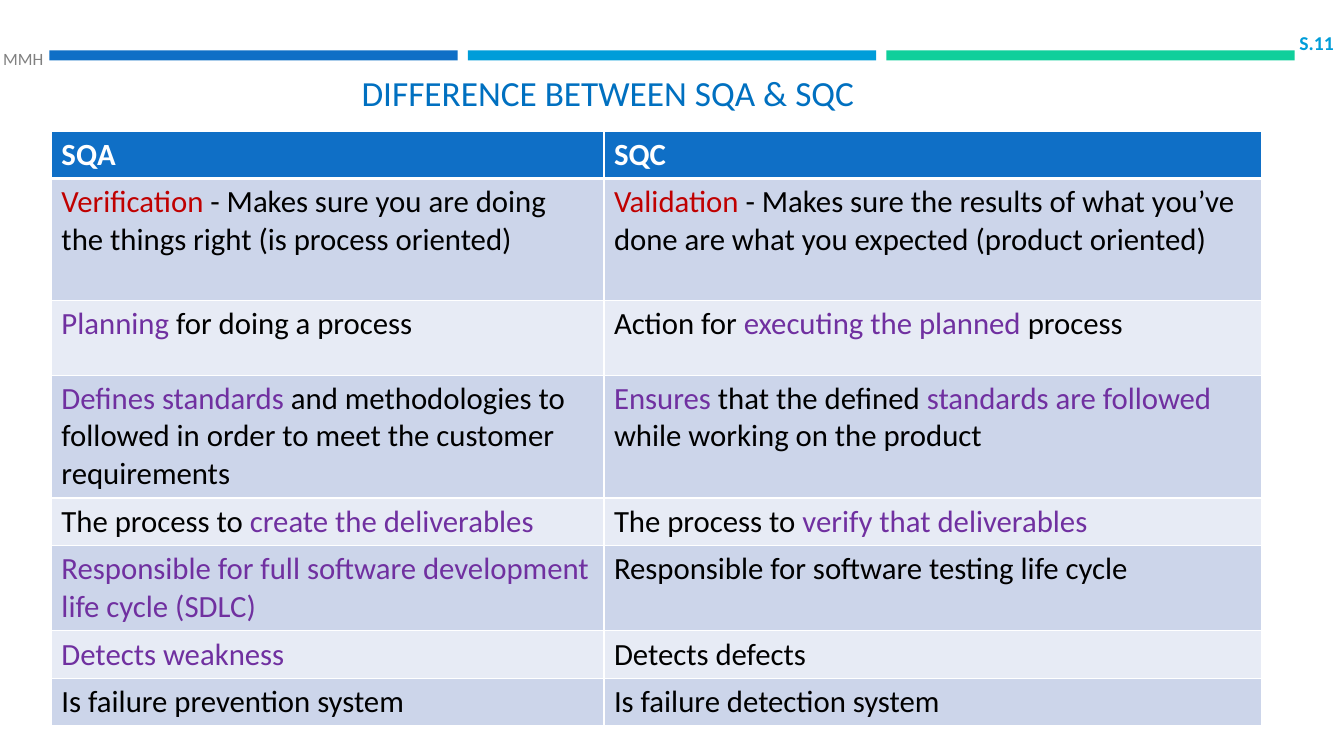
"""Build the slide that compares SQA with SQC in a table."""
import pptx
import pptx.dml.color
import pptx.enum.shapes
import pptx.enum.text
import pptx.oxml
import pptx.util
from pptx.util import Inches

TITLE = "DIFFERENCE BETWEEN SQA & SQC"
HEADER = ([("SQA", "white")], [("SQC", "white")])
ROWS = [
    ([("Verification", "red"),
      (" - Makes sure you are doing the things right (is process oriented)", "black")],
     [("Validation", "red"),
      (" - Makes sure the results of what you’ve done are what you expected (product oriented)",
       "black")]),
    ([("Planning ", "purple"), ("for doing a process", "black")],
     [("Action for ", "black"), ("executing the planned", "purple"), (" process", "black")]),
    ([("Defines standards", "purple"),
      (" and methodologies to followed in order to meet the customer requirements", "black")],
     [("Ensures", "purple"), (" that the defined ", "black"),
      ("standards are followed ", "purple"), ("while working on the product", "black")]),
    ([("The process to ", "black"), ("create the deliverables", "purple")],
     [("The process to ", "black"), ("verify that deliverables", "purple")]),
    ([("Responsible for full software development life cycle (SDLC)", "purple")],
     [("Responsible for software testing life cycle", "black")]),
    ([("Detects weakness", "purple")], [("Detects defects", "black")]),
    ([("Is failure prevention system", "black")], [("Is failure detection system", "black")]),
]
COL_WIDTHS = (5.48, 6.52)
ROW_HEIGHTS = (0.47, 1.21, 0.74, 1.22, 0.47, 0.84, 0.47, 0.47)
BARS = ("blue", "sky", "green")
LABELS = [
    ("MMH", (0.03, 0.43, 0.45, 0.3), "LEFT", "small", "gray", False),
    ("S.11", (12.8, 0.28, 0.43, 0.28), "RIGHT", "number", "sky", True),
]
THEME = {
    "font": "Calibri",
    "sizes": {"title": 25.2, "table": 22, "small": 12.3, "number": 14},
    "colors": {"white": "FFFFFF", "black": "000000", "red": "C00000", "purple": "7030A0",
               "title": "0070C0", "gray": "808080", "blue": "0F6FC6", "sky": "009DD9",
               "green": "10CF9B", "odd": "CCD5EA", "even": "E7EBF5"},
}


def color(name):
    """Return the theme colour of that name."""
    return pptx.dml.color.RGBColor.from_string(THEME["colors"][name])


def style(r, size, color_name, bold=False):
    """Give a run its font, size, colour and weight."""
    r.font.name = THEME["font"]
    r.font.size = pptx.util.Pt(THEME["sizes"][size])
    r.font.color.rgb = color(color_name)
    r.font.bold = bold


def add_bars(s):
    """Add the row of coloured bars at the top."""
    for i, name in enumerate(BARS):
        bar = s.shapes.add_shape(pptx.enum.shapes.MSO_SHAPE.RECTANGLE,
                                 Inches(0.49 + 4.15 * i), Inches(0.5), Inches(4.05), Inches(0.1))
        bar.shadow.inherit = False
        bar.fill.solid()
        bar.fill.fore_color.rgb = color(name)
        bar.line.fill.background()


def add_title(s):
    """Place and format the title."""
    title = s.shapes.title
    title.left, title.top, title.width, title.height = map(Inches, (0, 0.69, 12.06, 0.49))
    tf = title.text_frame
    tf.text = TITLE
    tf.vertical_anchor = pptx.enum.text.MSO_ANCHOR.BOTTOM
    p = tf.paragraphs[0]
    p.alignment = pptx.enum.text.PP_ALIGN.CENTER
    style(p.runs[0], "title", "title")


def add_label(s, text, box, align, size, color_name, bold):
    """Add a small label beside the bars."""
    tf = s.shapes.add_textbox(*map(Inches, box)).text_frame
    tf.margin_left = tf.margin_right = tf.margin_top = tf.margin_bottom = 0
    tf.word_wrap = False
    tf.vertical_anchor = pptx.enum.text.MSO_ANCHOR.MIDDLE
    tf.text = text
    p = tf.paragraphs[0]
    p.alignment = pptx.enum.text.PP_ALIGN[align]
    style(p.runs[0], size, color_name, bold)


def add_borders(cell, widths):
    """Draw white borders of the given widths in points."""
    tc_pr = cell._tc.get_or_add_tcPr()
    ns = "http://schemas.openxmlformats.org/drawingml/2006/main"
    for side, width in widths.items():
        tc_pr.append(pptx.oxml.parse_xml(
            f'<a:ln{side} xmlns:a="{ns}" w="{pptx.util.Pt(width)}"><a:solidFill>'
            f'<a:srgbClr val="{THEME["colors"]["white"]}"/></a:solidFill></a:ln{side}>'))


def add_table(s):
    """Add the comparison table."""
    content = [HEADER, *ROWS]
    table = s.shapes.add_table(len(content), len(COL_WIDTHS), Inches(0.51), Inches(1.3),
                               Inches(sum(COL_WIDTHS)), Inches(sum(ROW_HEIGHTS))).table
    for col, width in zip(table.columns, COL_WIDTHS):
        col.width = Inches(width)
    for i, (row, height, texts) in enumerate(zip(table.rows, ROW_HEIGHTS, content)):
        row.height = Inches(height)
        fill = "blue" if i == 0 else "odd" if i % 2 else "even"
        widths = {"L": 1, "R": 1, "T": 3 if i == 1 else 1, "B": 3 if i == 0 else 1}
        for cell, runs in zip(row.cells, texts):
            add_borders(cell, widths)
            cell.fill.solid()
            cell.fill.fore_color.rgb = color(fill)
            p = cell.text_frame.paragraphs[0]
            for text, color_name in runs:
                r = p.add_run()
                r.text = text
                style(r, "table", color_name, i == 0)


def main():
    """Build and save the presentation."""
    prs = pptx.Presentation()
    prs.slide_width, prs.slide_height = Inches(13.33), Inches(7.5)
    s = prs.slides.add_slide(prs.slide_layouts[5])
    add_bars(s)
    add_title(s)
    add_table(s)
    for label in LABELS:
        add_label(s, *label)
    prs.save("out.pptx")


if __name__ == "__main__":
    main()
